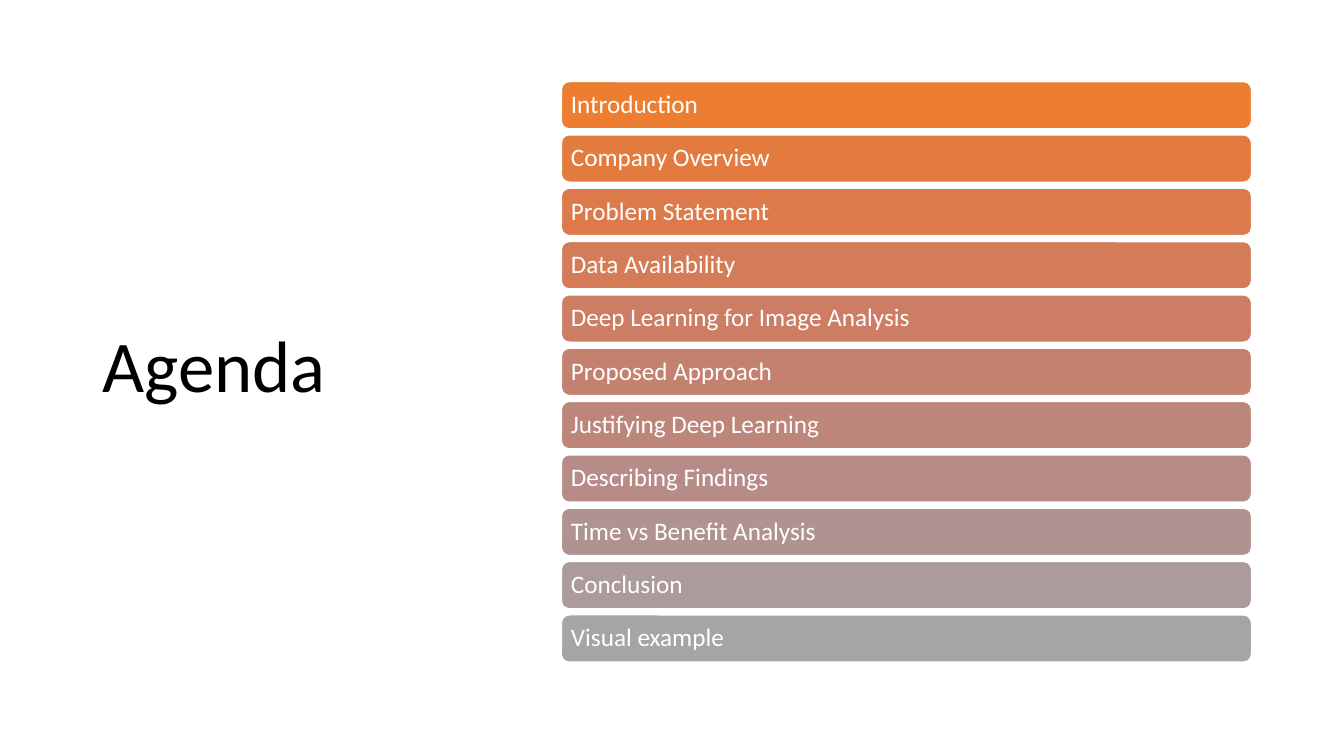
from pptx import Presentation
from pptx.dml.color import RGBColor
from pptx.enum.shapes import MSO_SHAPE
from pptx.enum.text import MSO_ANCHOR, PP_ALIGN
from pptx.util import Pt

AGENDA = [
    ("Introduction", "ED7D31"),
    ("Company Overview", "E47B3E"),
    ("Problem Statement", "DC7A4B"),
    ("Data Availability", "D47B58"),
    ("Deep Learning for Image Analysis", "CC7D64"),
    ("Proposed Approach", "C48170"),
    ("Justifying Deep Learning", "BD867B"),
    ("Describing Findings", "B78C86"),
    ("Time vs Benefit Analysis", "B09391"),
    ("Conclusion", "AB9C9B"),
    ("Visual example", "A5A5A5"),
]
BAR_LEFT, BAR_TOP, BAR_WIDTH, BAR_HEIGHT = 401, 58.3, 493, 33.8
BAR_PITCH = 38.09


def color(value):
    return RGBColor.from_string(value)


def write(tf, text, *, size, fill, font, margins):
    tf.word_wrap = True
    tf.vertical_anchor = MSO_ANCHOR.MIDDLE
    tf.margin_left = tf.margin_right = Pt(margins[0])
    tf.margin_top = tf.margin_bottom = Pt(margins[1])
    p = tf.paragraphs[0]
    p.alignment = PP_ALIGN.LEFT
    p.line_spacing = 0.9
    r = p.add_run()
    r.text = text
    r.font.name = font
    r.font.size = Pt(size)
    r.font.color.rgb = color(fill)


class Deck:
    font = "Calibri"
    dark = "000000"
    light = "FFFFFF"

    def __init__(self, width, height):
        self.prs = Presentation()
        self.prs.slide_width = Pt(width)
        self.prs.slide_height = Pt(height)
        self.s = None

    def add_slide(self):
        self.s = self.prs.slides.add_slide(self.prs.slide_layouts[5])

    def title(self, text, left, top, width, height):
        sp = self.s.shapes.title
        sp.left, sp.top = Pt(left), Pt(top)
        sp.width, sp.height = Pt(width), Pt(height)
        write(sp.text_frame, text, size=52, fill=self.dark,
              font=self.font, margins=(7.2, 3.6))

    def bar(self, text, fill, left, top, width, height):
        sp = self.s.shapes.add_shape(
            MSO_SHAPE.ROUNDED_RECTANGLE, Pt(left), Pt(top), Pt(width), Pt(height))
        sp.shadow.inherit = False
        sp.fill.solid()
        sp.fill.fore_color.rgb = color(fill)
        sp.line.color.rgb = color(self.light)
        sp.line.width = Pt(1)
        write(sp.text_frame, text, size=18, fill=self.light,
              font=self.font, margins=(5.2, 3.6))


def main():
    deck = Deck(960, 540)
    deck.add_slide()
    deck.title("Agenda", 66, 44, 266, 438.5)
    for i, (text, fill) in enumerate(AGENDA):
        deck.bar(text, fill, BAR_LEFT, BAR_TOP + i * BAR_PITCH, BAR_WIDTH, BAR_HEIGHT)
    deck.prs.save("out.pptx")


if __name__ == "__main__":
    main()
